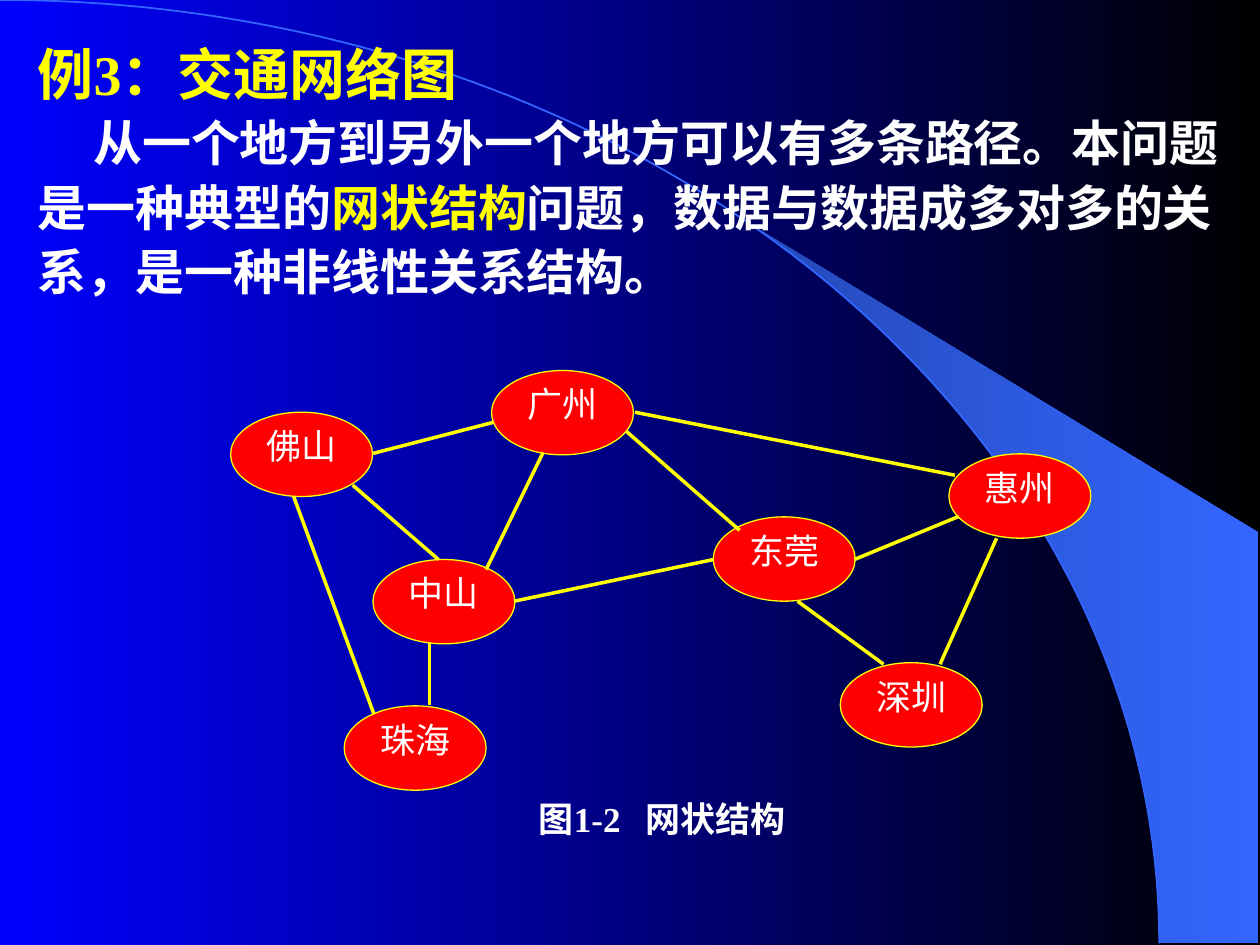
"""Build the traffic network example slide."""
import math
from typing import NamedTuple

import pptx
import pptx.dml.color
import pptx.enum.shapes
import pptx.enum.text
import pptx.oxml.ns
import pptx.util
from lxml import etree

Cm = pptx.util.Cm
Pt = pptx.util.Pt
COLORS = {
    "blue": "0000FF", "black": "000000", "arc": "3366FF", "flare": "2449B6",
    "yellow": "FFFF00", "white": "FFFFFF", "red": "FF0000",
}
LATIN = "Times New Roman"
CHINESE = "Noto Sans CJK SC"
ARC_WIDTH, ARC_HEIGHT = 23.37, 19.02
NODE_WIDTH, NODE_HEIGHT = 2.86, 1.7


class City(NamedTuple):
    name: str
    left: float
    top: float


class Road(NamedTuple):
    x1: float
    y1: float
    x2: float
    y2: float


class Span(NamedTuple):
    text: str
    size: int
    color: str = "white"
    bold: bool = True
    font: str = LATIN


CITIES = [
    City("佛山", 4.65, 8.31), City("惠州", 19.13, 9.15), City("广州", 9.91, 7.47),
    City("中山", 7.52, 11.28), City("东莞", 14.38, 10.42), City("深圳", 16.94, 13.36),
    City("珠海", 6.94, 14.23),
]
ROADS = [
    Road(8.66, 14.22, 8.66, 12.95), Road(8.84, 11.28, 7.11, 9.78),
    Road(14.38, 11.28, 10.36, 12.12), Road(14.91, 10.69, 12.62, 8.69),
    Road(17.81, 13.39, 16.08, 12.12), Road(18.95, 13.39, 20.09, 10.85),
    Road(19.25, 9.58, 12.8, 8.31), Road(9.8, 11.48, 10.95, 9.12),
    Road(9.96, 8.51, 7.52, 9.14), Road(19.33, 10.41, 17.22, 11.28),
    Road(7.54, 14.4, 5.92, 10.01),
]
HEADING = [Span("例3：交通网络图", 32, "yellow")]
BODY = [
    Span("从一个地方到另外一个地方可以有多条路径。本问题是一种典型的", 28),
    Span("网状结构", 28, "yellow"),
    Span("问题，数据与数据成多对多的关系，是一种非线性关系结构。", 28),
]
CAPTION = [
    Span("图", 20, font=CHINESE), Span("1-2", 20), Span("　", 14),
    Span("网状结构", 20, font=CHINESE),
]


def rgb(name: str) -> pptx.dml.color.RGBColor:
    """Return a named colour."""
    return pptx.dml.color.RGBColor.from_string(COLORS[name])


def fill_gradient(fill, start: str, end: str) -> None:
    """Fill from left to right."""
    fill.gradient()
    fill.gradient_angle = 0
    for stop, position, name in zip(fill.gradient_stops, (0, 1), (start, end)):
        stop.position = position
        stop.color.rgb = rgb(name)


def add_spans(para, spans: list[Span]) -> None:
    """Add formatted runs to a paragraph."""
    for item in spans:
        span = para.add_run()
        span.text = item.text
        span.font.size = Pt(item.size)
        span.font.bold = item.bold
        span.font.color.rgb = rgb(item.color)
        span.font.name = item.font
        properties = span._r.get_or_add_rPr()
        etree.SubElement(properties, pptx.oxml.ns.qn("a:ea"), typeface=CHINESE)


def set_margins(frame, left: float, top: float, right: float, bottom: float) -> None:
    """Set the four text insets."""
    frame.margin_left, frame.margin_top = Cm(left), Cm(top)
    frame.margin_right, frame.margin_bottom = Cm(right), Cm(bottom)


def arc_points(first: int, step: int) -> list[tuple[int, int]]:
    """Return points on the quarter ellipse, from an angle in degrees to 90."""
    angles = [math.radians(degree) for degree in range(first, 91, step)]
    return [
        (Cm(ARC_WIDTH * math.sin(angle)), Cm(ARC_HEIGHT * (1 - math.cos(angle))))
        for angle in angles
    ]


def add_outline(page, points: list[tuple[int, int]], close: bool):
    """Add a freeform through the points."""
    builder = page.shapes.build_freeform(*points[0])
    builder.add_line_segments(points[1:], close=close)
    shape = builder.convert_to_shape()
    shape.shadow.inherit = False
    return shape


def add_backdrop(page) -> None:
    """Draw the background, the flare and the arc."""
    fill_gradient(page.background.fill, "blue", "black")
    corners = [(Cm(25.37), Cm(ARC_HEIGHT)), (Cm(25.37), Cm(10.74))]
    flare = add_outline(page, arc_points(40, 2) + corners, True)
    fill_gradient(flare.fill, "flare", "arc")
    flare.line.fill.background()
    arc = add_outline(page, arc_points(0, 1), False)
    arc.fill.background()
    arc.line.color.rgb = rgb("arc")
    arc.line.width = Pt(1)


def add_description(page) -> None:
    """Add the heading and the explanation."""
    box = page.shapes.add_textbox(Cm(0.51), Cm(0.53), Cm(24.33), Cm(5.99))
    frame = box.text_frame
    frame.word_wrap = True
    set_margins(frame, 0.25, 0.13, 0.1, 0.13)
    heading, body = frame.paragraphs[0], frame.add_paragraph()
    for para, spans in ((heading, HEADING), (body, BODY)):
        para.line_spacing = 1.1
        add_spans(para, spans)
    body._p.get_or_add_pPr().set("indent", str(Cm(1.12)))


def add_city(page, city: City) -> None:
    """Draw one city node."""
    node = page.shapes.add_shape(
        pptx.enum.shapes.MSO_SHAPE.OVAL,
        Cm(city.left), Cm(city.top), Cm(NODE_WIDTH), Cm(NODE_HEIGHT),
    )
    node.shadow.inherit = False
    node.fill.solid()
    node.fill.fore_color.rgb = rgb("red")
    node.line.color.rgb = rgb("yellow")
    node.line.width = Pt(0.75)
    frame = node.text_frame
    set_margins(frame, 0, 0, 0, 0)
    frame.vertical_anchor = pptx.enum.text.MSO_ANCHOR.TOP
    para = frame.paragraphs[0]
    para.alignment = pptx.enum.text.PP_ALIGN.CENTER
    add_spans(para, [Span(city.name, 20, bold=False)])


def add_road(page, road: Road) -> None:
    """Draw one road between cities."""
    line = page.shapes.add_connector(
        pptx.enum.shapes.MSO_CONNECTOR.STRAIGHT, *(Cm(value) for value in road)
    )
    line.line.color.rgb = rgb("yellow")
    line.line.width = Pt(2)
    etree.SubElement(line._element.spPr, pptx.oxml.ns.qn("a:effectLst"))


def add_caption(page) -> None:
    """Add the figure caption."""
    box = page.shapes.add_textbox(Cm(9.96), Cm(15.87), Cm(6.78), Cm(1.27))
    frame = box.text_frame
    frame.word_wrap = True
    frame.vertical_anchor = pptx.enum.text.MSO_ANCHOR.MIDDLE
    para = frame.paragraphs[0]
    para.alignment = pptx.enum.text.PP_ALIGN.CENTER
    add_spans(para, CAPTION)


def main() -> None:
    """Build and save the deck."""
    deck = pptx.Presentation()
    deck.slide_width, deck.slide_height = Cm(25.4), Cm(19.05)
    page = deck.slides.add_slide(deck.slide_layouts[6])
    add_backdrop(page)
    add_description(page)
    for city in CITIES:
        add_city(page, city)
    for road in ROADS:
        add_road(page, road)
    add_caption(page)
    deck.save("out.pptx")


if __name__ == "__main__":
    main()
